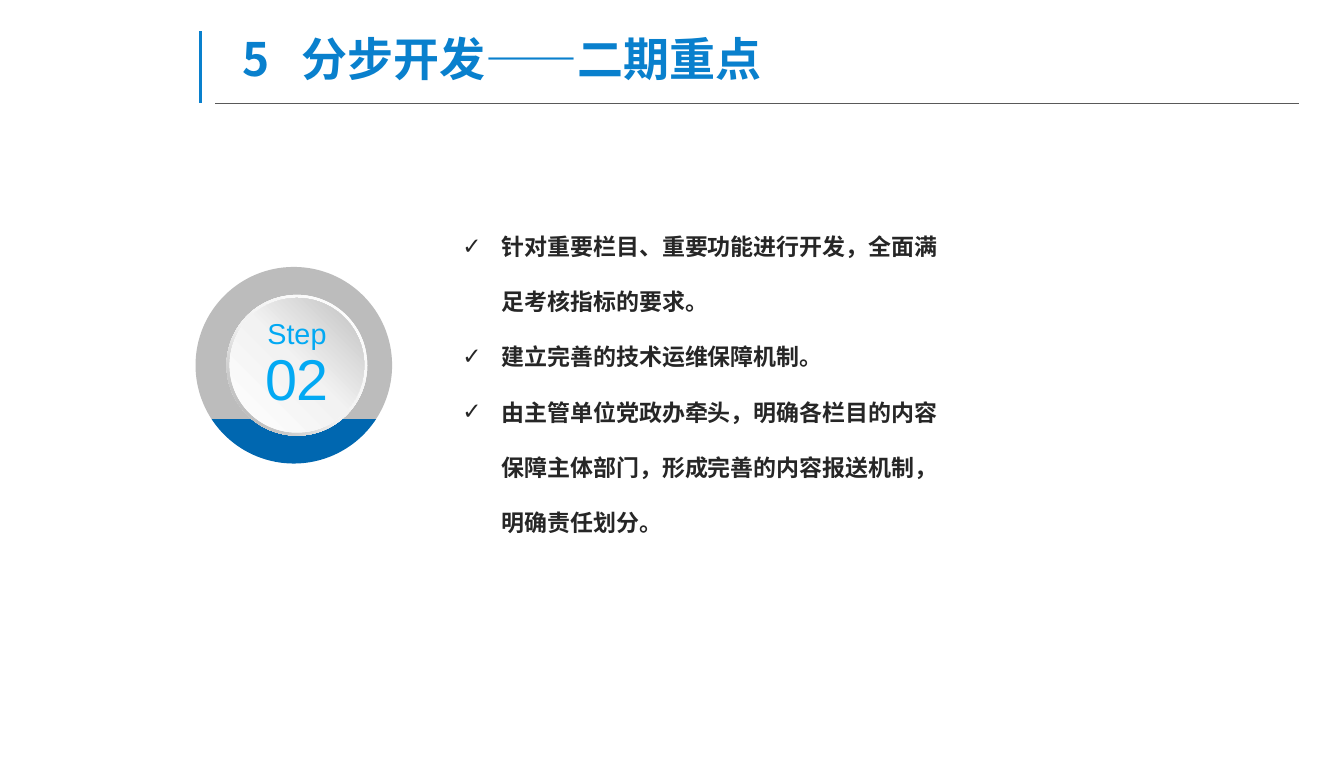
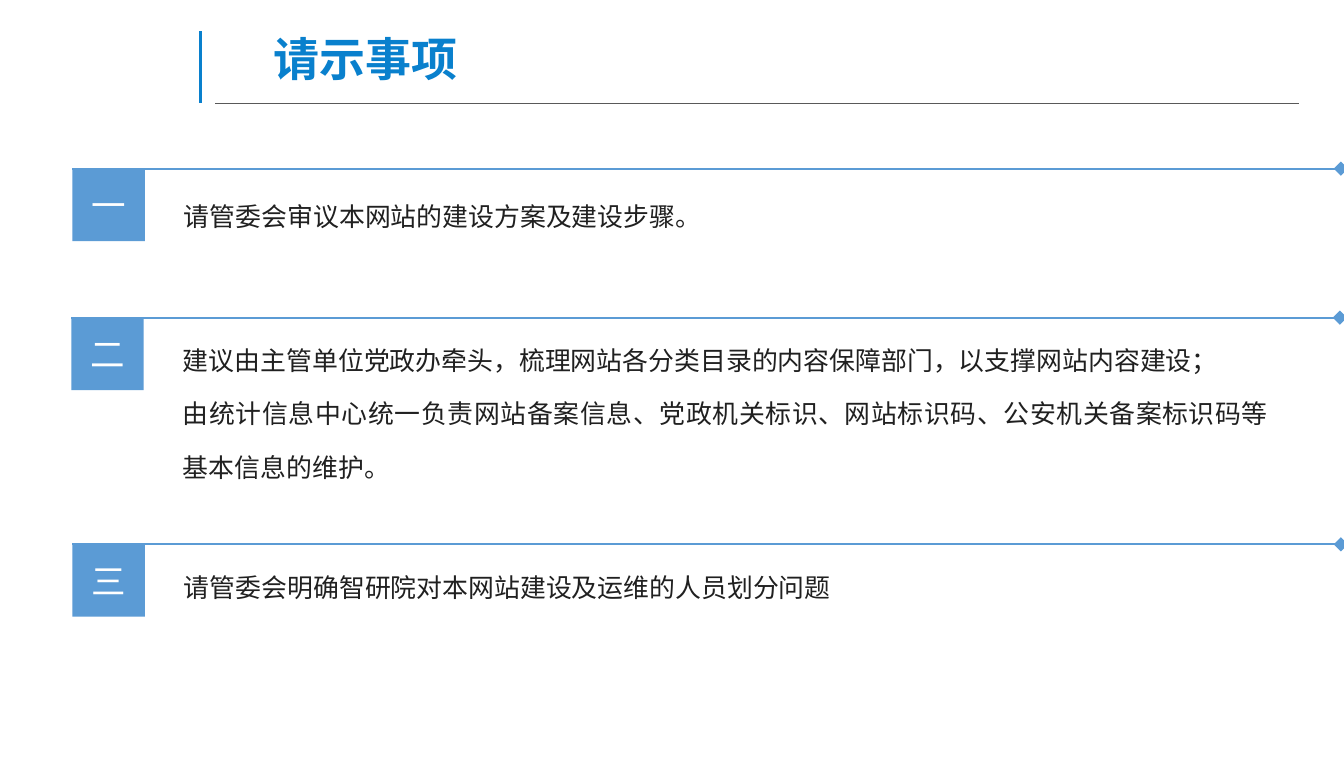
import math
from lxml import etree
from pptx import Presentation
from pptx import util as u
from pptx.dml.color import RGBColor
from pptx.enum import shapes, text
from pptx.oxml.ns import qn

COLORS = {
    "title": "0980CD", "rule": "595959", "item": "5B9BD5", "white": "FFFFFF",
    "body": "202020", "bullet": "262626", "step": "03A9F3",
    "ring": "595959", "level": "0067B0",
    "pale": "F2F2F2", "mid": "BFBFBF", "dark": "A6A6A6",
}
CJK = "Noto Sans CJK SC"


def add_line(page, start, end, color, width):
    line = page.shapes.add_connector(
        shapes.MSO_CONNECTOR.STRAIGHT, *[u.Inches(v) for v in start + end])
    line.line.color.rgb = RGBColor.from_string(COLORS[color])
    line.line.width = u.Pt(width)
    etree.SubElement(line._element.spPr, qn("a:effectLst"))
    return line


def add_span(para, words, size, color, font=CJK, bold=False):
    span = para.add_run()
    span.text = words
    span.font.size = u.Pt(size)
    span.font.bold = bold
    span.font.color.rgb = RGBColor.from_string(COLORS[color])
    span.font.name = font
    etree.SubElement(span._r.get_or_add_rPr(), qn("a:ea"), typeface=CJK)


deck = Presentation()
deck.slide_width, deck.slide_height = u.Inches(12.99), u.Inches(7.48)

# Title and rules on every page; the indent or tab positions the title words
pages = []
for title, indent in (("5\t分步开发——二期重点", 0), ("请示事项", 0.3)):
    page = deck.slides.add_slide(deck.slide_layouts[6])
    pages.append(page)
    add_line(page, (2.08, 1), (12.56, 1), "rule", 0.5)
    add_line(page, (1.94, 0.3), (1.94, 1), "title", 2.25)
    box = page.shapes.add_textbox(
        u.Inches(2.25), u.Inches(0.3), u.Inches(10.24), u.Inches(0.69))
    frame = box.text_frame
    frame.word_wrap = True
    frame.margin_left, frame.margin_top = u.Inches(0.09 + indent), 0
    para = frame.paragraphs[0]
    para.line_spacing = u.Pt(38)
    if "\t" in title:
        tabs = etree.SubElement(para._p.get_or_add_pPr(), qn("a:tabLst"))
        etree.SubElement(tabs, qn("a:tab"), pos=str(u.Inches(0.57)), algn="l")
    add_span(para, title, 32, "title", bold=True)
step_page, request_page = pages

# Ring cut by a level line: upper part grey, lower part blue
center_x, center_y, outer, inner, level = 2.84, 3.53, 0.95, 0.65, 0.52
outer_cut = math.degrees(math.asin(level / outer))
inner_cut = math.degrees(math.asin(level / inner))
ring_parts = (
    ("ring", (180 - outer_cut, 360 + outer_cut), (360 + inner_cut, 180 - inner_cut)),
    ("level", (outer_cut, 180 - outer_cut), (180 - inner_cut, inner_cut)),
)
for color, outer_arc, inner_arc in ring_parts:
    # Each arc is split at the quarter turns; a curve is two handles and an end
    points, curve_starts = [], []
    for radius, (first, last) in ((outer, outer_arc), (inner, inner_arc)):
        quarters = [q for q in range(0, 451, 90) if min(first, last) < q < max(first, last)]
        knots = [first, *sorted(quarters, reverse=last < first), last]
        angles = [math.radians(knot) for knot in knots]
        points.append((radius * math.cos(angles[0]), radius * math.sin(angles[0])))
        for a, b in zip(angles, angles[1:]):
            handle = 4 / 3 * math.tan((b - a) / 4)
            curve_starts.append(len(points) - 1)
            points += [
                (radius * (math.cos(a) - handle * math.sin(a)),
                 radius * (math.sin(a) + handle * math.cos(a))),
                (radius * (math.cos(b) + handle * math.sin(b)),
                 radius * (math.sin(b) - handle * math.cos(b))),
                (radius * math.cos(b), radius * math.sin(b))]
    corners = [(u.Inches(center_x + x), u.Inches(center_y + y)) for x, y in points]
    builder = step_page.shapes.build_freeform(*corners[0])
    builder.add_line_segments(corners[1:], close=True)
    part = builder.convert_to_shape()
    moves = list(part._element.spPr.iter(qn("a:lnTo")))
    for start in curve_starts:
        moves[start].addprevious(curve := etree.Element(qn("a:cubicBezTo")))
        for move in moves[start:start + 3]:
            curve.append(move[0])
            move.getparent().remove(move)
    part.shadow.inherit = False
    part.fill.solid()
    part.fill.fore_color.rgb = RGBColor.from_string(COLORS[color])
    part.line.fill.background()
    if color == "ring":
        tint = part._element.spPr.find(".//" + qn("a:srgbClr"))
        etree.SubElement(tint, qn("a:alpha"), val="40000")

# Button: rim and face with three-stop gradients
button_parts = (
    (shapes.MSO_SHAPE.DONUT, 2.19, 2.85, 1.36, 225, 55, "dark"),
    (shapes.MSO_SHAPE.OVAL, 2.22, 2.88, 1.3, 45, 51, "mid"),
)
for kind, left, top, size, angle, middle, end_color in button_parts:
    disc = step_page.shapes.add_shape(
        kind, u.Inches(left), u.Inches(top), u.Inches(size), u.Inches(size))
    disc.shadow.inherit = False
    disc.line.fill.background()
    if kind == shapes.MSO_SHAPE.DONUT:
        disc.adjustments[0] = 0.049
    disc.fill.gradient()
    disc.fill.gradient_angle = angle
    stops = disc._element.spPr.find(".//" + qn("a:gsLst"))
    for stop in list(stops):
        stops.remove(stop)
    for place, color in ((0, "white"), (middle, "pale"), (100, end_color)):
        stop = etree.SubElement(stops, qn("a:gs"), pos=str(place * 1000))
        etree.SubElement(stop, qn("a:srgbClr"), val=COLORS[color])

# Step label and checklist
label = step_page.shapes.add_textbox(
    u.Inches(2.48), u.Inches(3.05), u.Inches(0.78), u.Inches(0.98))
checklist = step_page.shapes.add_textbox(
    u.Inches(4.4), u.Inches(1.94), u.Inches(4.85), u.Inches(3.76))
for box in (label, checklist):
    frame = box.text_frame
    frame.margin_left = frame.margin_right = u.Inches(0.07)
    frame.margin_top = frame.margin_bottom = u.Inches(0.04)
label.text_frame.word_wrap = False
checklist.text_frame.word_wrap = True

for i, (words, size) in enumerate((("Step", 20), ("02", 40))):
    frame = label.text_frame
    para = frame.add_paragraph() if i else frame.paragraphs[0]
    para.alignment = text.PP_ALIGN.CENTER
    para.line_spacing = 0.9
    add_span(para, words, size, "step", "Arial")

tasks = (
    "针对重要栏目、重要功能进行开发，全面满足考核指标的要求。",
    "建立完善的技术运维保障机制。",
    "由主管单位党政办牵头，明确各栏目的内容保障主体部门，形成完善的内容报送机制，明确责任划分。",
)
for i, task in enumerate(tasks):
    frame = checklist.text_frame
    para = frame.add_paragraph() if i else frame.paragraphs[0]
    para.line_spacing = u.Pt(38.4)
    props = para._p.get_or_add_pPr()
    props.set("marL", str(u.Inches(0.38)))
    props.set("indent", str(-u.Inches(0.38)))
    etree.SubElement(props, qn("a:buFont"), typeface="Arial")
    etree.SubElement(props, qn("a:buChar"), char="✓")
    add_span(para, task, 16, "bullet", bold=True)

# Requests: numbered square, line with a diamond end, text
requests = (
    ("一", 0.7, 1.63, 1.68, 1.68, 1.13, ("请管委会审议本网站的建设方案及建设步骤。",)),
    ("二", 0.69, 3.07, 1.67, 3.07, 1.64, (
        "建议由主管单位党政办牵头，梳理网站各分类目录的内容保障部门，以支撑网站内容建设；",
        "由统计信息中心统一负责网站备案信息、党政机关标识、网站标识码、公安机关备案标识码等基本信息的维护。")),
    ("三", 0.7, 5.26, 1.68, 5.26, 0.55, ("请管委会明确智研院对本网站建设及运维的人员划分问题",)),
)
for number, left, top, text_left, text_top, height, lines in requests:
    square = request_page.shapes.add_shape(
        shapes.MSO_SHAPE.RECTANGLE,
        u.Inches(left), u.Inches(top), u.Inches(0.7), u.Inches(0.7))
    square.shadow.inherit = False
    square.fill.solid()
    square.fill.fore_color.rgb = RGBColor.from_string(COLORS["item"])
    square.line.fill.background()
    square.text_frame.vertical_anchor = text.MSO_ANCHOR.MIDDLE
    para = square.text_frame.paragraphs[0]
    para.alignment = text.PP_ALIGN.CENTER
    add_span(para, number, 24, "white")

    line = add_line(request_page, (left + 12.26, top), (left, top), "item", 1.5)
    etree.SubElement(line.line._get_or_add_ln(), qn("a:headEnd"),
                     type="diamond", w="lg", len="lg")

    box = request_page.shapes.add_textbox(
        u.Inches(text_left), u.Inches(text_top), u.Inches(10.69), u.Inches(height))
    frame = box.text_frame
    frame.word_wrap = True
    for i, words in enumerate(lines):
        para = frame.add_paragraph() if i else frame.paragraphs[0]
        para.alignment = text.PP_ALIGN.JUSTIFY
        para.line_spacing = u.Pt(37)
        add_span(para, words, 18, "body", "Calibri")

deck.save("out.pptx")
